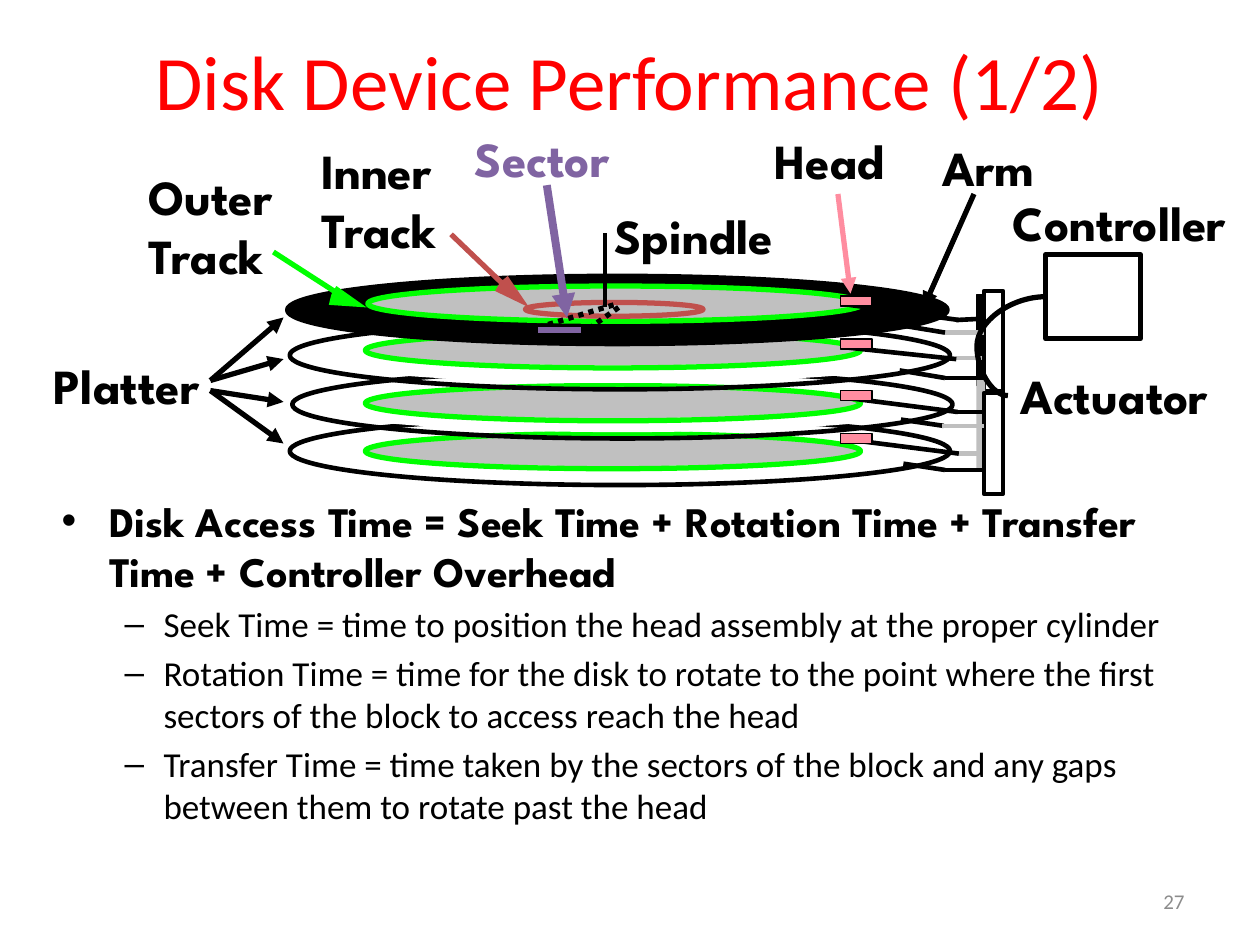
import pptx
import pptx.util
import pptx.dml.color
import pptx.enum.dml
import pptx.enum.shapes
import pptx.enum.text
import pptx.oxml
from pptx.oxml.ns import qn
from lxml import etree

COLORS = {"ink": "000000", "paper": "FFFFFF", "title": "FF0000", "disk": "C0C0C0",
          "steel": "BFBFBF", "outer": "00FF00", "inner": "C0504D",
          "sector": "8064A2", "head": "FF8DA0", "number": "8C8C8C"}
COLS, ROWS = 100, 75
SHAPES = pptx.enum.shapes.MSO_SHAPE
CONNECTORS = pptx.enum.shapes.MSO_CONNECTOR
ALIGN = pptx.enum.text.PP_ALIGN
MIDDLE = pptx.enum.text.MSO_ANCHOR.MIDDLE
DISPLAY, PLAIN = "League Spartan", "Calibri"


class Deck:
    """Holds the style and the current slide; lengths are grid columns and rows."""

    def __init__(self):
        self.prs = pptx.Presentation()
        self.prs.slide_width = pptx.util.Inches(10)
        self.prs.slide_height = pptx.util.Inches(7.5)
        self.s = self.prs.slides.add_slide(self.prs.slide_layouts[5])

    def x(self, cols):
        return round(self.prs.slide_width * cols / COLS)

    def y(self, rows):
        return round(self.prs.slide_height * rows / ROWS)

    def box(self, left, top, width, height):
        return self.x(left), self.y(top), self.x(width), self.y(height)

    def rgb(self, name):
        return pptx.dml.color.RGBColor.from_string(COLORS[name])

    def run(self, p, text, size, font, color="ink", bold=False):
        r = p.add_run()
        r.text = text
        r.font.size, r.font.name, r.font.bold = pptx.util.Pt(size), font, bold
        r.font.color.rgb = self.rgb(color)

    def title(self, text, *box):
        sp = self.s.shapes.title
        sp.left, sp.top, sp.width, sp.height = self.box(*box)
        tf = sp.text_frame
        tf.vertical_anchor = MIDDLE
        tf.paragraphs[0].alignment = ALIGN.CENTER
        self.run(tf.paragraphs[0], text, 44, PLAIN, "title")

    def label(self, lines, *box, color="ink"):
        tf = self.s.shapes.add_textbox(*self.box(*box)).text_frame
        tf.word_wrap = False
        tf.auto_size = pptx.enum.text.MSO_AUTO_SIZE.SHAPE_TO_FIT_TEXT
        for i, line in enumerate(lines.split()):
            p = tf.add_paragraph() if i else tf.paragraphs[0]
            self.run(p, line, 28, DISPLAY, color, True)

    def bullets(self, items, *box):
        tf = self.s.shapes.add_textbox(*self.box(*box)).text_frame
        tf.word_wrap = True
        styles = [("•", 0.38, 0.38, 24, DISPLAY, True), ("–", 0.81, 0.31, 20, PLAIN, False)]
        for i, (level, text) in enumerate(items):
            mark, margin, hang, size, font, bold = styles[level]
            p = tf.add_paragraph() if i else tf.paragraphs[0]
            p.level = level
            pPr = p._p.get_or_add_pPr()
            pPr.set("marL", str(pptx.util.Inches(margin)))
            pPr.set("indent", str(-pptx.util.Inches(hang)))
            etree.SubElement(pPr, qn("a:buFont")).set("typeface", "Arial")
            etree.SubElement(pPr, qn("a:buChar")).set("char", mark)
            if i:
                p.space_before = pptx.util.Pt(size * 0.2)
            self.run(p, text, size, font, bold=bold)

    def page_number(self, text, *box):
        tf = self.s.shapes.add_textbox(*self.box(*box)).text_frame
        tf.word_wrap = True
        tf.vertical_anchor = MIDDLE
        tf.paragraphs[0].alignment = ALIGN.RIGHT
        self.run(tf.paragraphs[0], text, 12, PLAIN, "number")

    def paint(self, sp, fill, line, width):
        sp.shadow.inherit = False
        if fill:
            sp.fill.solid()
            sp.fill.fore_color.rgb = self.rgb(fill)
        else:
            sp.fill.background()
        if line:
            sp.line.color.rgb = self.rgb(line)
            sp.line.width = pptx.util.Pt(width)
        else:
            sp.line.fill.background()

    def shape(self, kind, *box, fill=None, line=None, width=2.63):
        sp = self.s.shapes.add_shape(kind, *self.box(*box))
        self.paint(sp, fill, line, width)
        return sp

    def wedge(self, points, fill):
        pts = [(self.x(a), self.y(b)) for a, b in points]
        builder = self.s.shapes.build_freeform(*pts[0])
        builder.add_line_segments(pts[1:], close=True)
        self.paint(builder.convert_to_shape(), fill, None, 0)

    def line(self, x1, y1, x2, y2, color="ink", width=3, arrow=False, dash=None,
             kind=CONNECTORS.STRAIGHT):
        c = self.s.shapes.add_connector(kind, self.x(x1), self.y(y1), self.x(x2), self.y(y2))
        c.line.color.rgb = self.rgb(color)
        c.line.width = pptx.util.Pt(width)
        if dash:
            c.line.dash_style = dash
        if arrow:
            etree.SubElement(c.line._get_or_add_ln(), qn("a:tailEnd")).set("type", "triangle")
        etree.SubElement(c._element.spPr, qn("a:effectLst"))
        return c

    def rods(self, ends, color="ink"):
        for end in ends:
            self.line(*end, color=color, width=2.63)


def main():
    d = Deck()
    oval, rect = SHAPES.OVAL, SHAPES.RECTANGLE
    d.title("Disk Device Performance (1/2)", 5, 0.1, 90, 12.5)
    d.bullets([
        (0, "Disk Access Time = Seek Time + Rotation Time + Transfer Time + Controller Overhead"),
        (1, "Seek Time = time to position the head assembly at the proper cylinder"),
        (1, "Rotation Time = time for the disk to rotate to the point where the first "
            "sectors of the block to access reach the head"),
        (1, "Transfer Time = time taken by the sectors of the block and any gaps "
            "between them to rotate past the head"),
    ], 3.9, 38.8, 90, 30.5)

    # Lower platters, from the bottom up
    for left, top, track in [(23, 33.1, 34.4), (23.2, 29.4, 30.6), (23, 25.5, 26.4)]:
        d.shape(oval, left + 0.4, top + 0.3, 51.6, 4.6, fill="paper")
        d.shape(oval, left, top, 52.4, 5.4, line="ink")
        d.shape(oval, 29.2, track + 0.2, 38.9, 2.4, fill="disk")
        d.shape(oval, 29, track, 39.3, 2.8, line="outer", width=3)

    # Top platter with its tracks and sector
    d.shape(oval, 22.8, 21.9, 52.4, 5.4, fill="ink", line="ink")
    d.shape(oval, 29.2, 22.7, 39.3, 2.8, fill="disk", line="outer", width=3)
    d.shape(oval, 41.7, 24, 14.1, 1.1, fill="disk", line="inner", width=3)
    for edge in [(49.1, 24.4, 45.3, 27.1), (48.7, 24.2, 40, 26.8)]:
        d.line(*edge, dash=pptx.enum.dml.MSO_LINE.ROUND_DOT)

    # Actuator
    d.shape(rect, 77.5, 23.4, 0.7, 7.2, fill="ink", line="ink", width=0.75)
    d.shape(rect, 78.1, 23.1, 1.5, 8, line="ink")
    d.shape(rect, 77.5, 30, 0.7, 7.2, fill="steel")
    d.shape(rect, 78.1, 31.2, 1.5, 8, line="ink")

    # Arms
    d.rods([(78.1, 26.4, 75, 26.4), (77.9, 28.4, 75.9, 28.4)], "steel")
    d.rods([(77.9, 25.3, 75.9, 25.4), (76.1, 25.4, 67.4, 24.2), (75, 26.4, 71.4, 25.8),
            (75.9, 28.5, 67.4, 27.6), (75, 30, 71.4, 29.4), (75, 30, 78.1, 30),
            (77.9, 32.7, 75.9, 32.7), (76, 32.7, 67.4, 31.6), (74.9, 33.8, 71.5, 33.3),
            (76.1, 36, 67.4, 34.9), (75, 37.3, 71.7, 36.8), (75, 37.3, 78.1, 37.3)])
    d.rods([(74.8, 33.8, 78.1, 33.8), (76.1, 36, 77.9, 36)], "steel")

    # Pointers to the tracks, sector and head
    d.wedge([(39.3, 23.1), (39.7, 22.4), (40.3, 21.9), (42, 24.4)], "inner")
    d.line(35.8, 18.6, 40.6, 23.2, "inner")
    d.wedge([(26.1, 24.2), (26.3, 23.4), (26.7, 22.7), (29.1, 24.4)], "outer")
    d.line(21.7, 20, 27.6, 23.8, "outer")
    d.line(43.4, 14.7, 45, 25.2, "sector", 4.5, arrow=True)
    d.line(66.5, 15.4, 67.5, 23.3, "head", arrow=True)
    d.line(42.7, 26.2, 46.1, 26.2, "sector")

    # Heads
    for top in (23.5, 26.9, 31, 34.4):
        d.shape(rect, 66.7, top, 2.5, 0.8, fill="head", line="ink", width=1)

    # Pointers to the arm and platters
    d.line(77.3, 15.4, 73.3, 24.4, arrow=True)
    for start, end in [(30.2, 25.2), (30.2, 28.5), (31, 31.9), (31, 35.2)]:
        d.line(16.7, start, 22.5, end, arrow=True)

    # Controller and its cable
    controller = d.shape(rect, 83, 20.2, 7.5, 6.7, line="ink", width=3)
    cable = d.line(83, 23.5, 80, 31.4, kind=CONNECTORS.CURVE)
    cable.begin_connect(controller, 1)
    guide = etree.SubElement(cable._element.spPr.prstGeom.get_or_add_avLst(), qn("a:gd"))
    guide.set("name", "adj1")
    guide.set("fmla", "val 182100")

    # Spindle
    d.shape(rect, 47.8, 15.8, 16.2, 5.7, line="paper", width=1)
    d.line(48, 24.4, 48, 18.5, width=2.25)

    # Labels
    for text, left, top, width, height in [
            ("Platter", 3.3, 27.7, 13.9, 5.7), ("Arm", 73.8, 10.4, 9.3, 5.7),
            ("Actuator", 80, 28.5, 17.2, 5.7), ("Head", 60.5, 9.9, 11.5, 5.7),
            ("Inner Track", 24.5, 10.7, 11.8, 10.4), ("Outer Track", 10.8, 12.7, 12.3, 10.4),
            ("Controller", 79.4, 14.8, 20.8, 5.7), ("Spindle", 47.8, 15.8, 16.2, 5.7)]:
        d.label(text, left, top, width, height)
    d.label("Sector", 36.7, 9.7, 13.2, 5.7, color="sector")
    d.page_number("27", 71.7, 69.5, 23.3, 4)
    d.prs.save("out.pptx")


if __name__ == "__main__":
    main()
